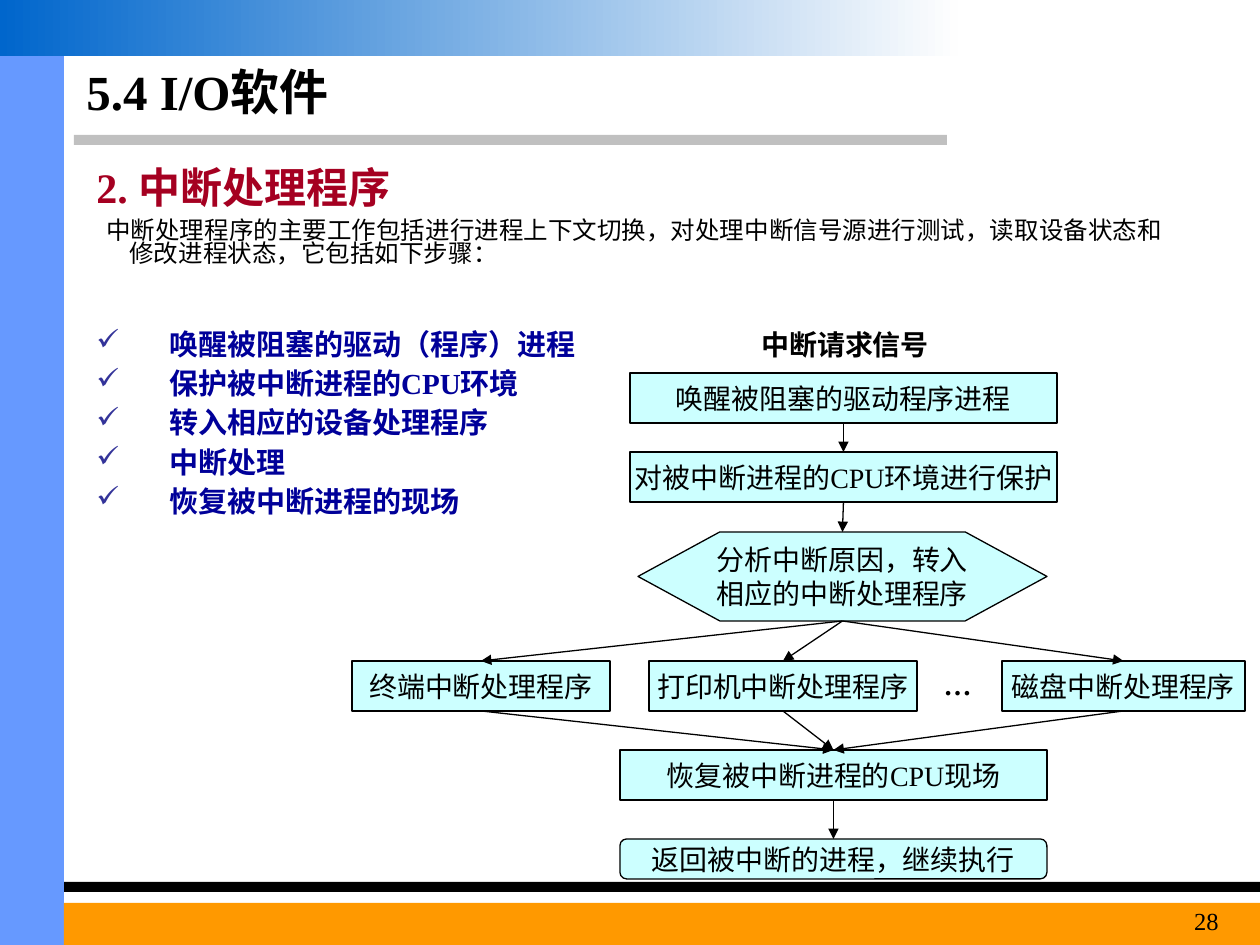
from lxml import etree
from pptx import Presentation
from pptx.dml.color import RGBColor
from pptx.enum.shapes import MSO_CONNECTOR, MSO_SHAPE as SHAPE
from pptx.enum.text import MSO_ANCHOR as ANCHOR, PP_ALIGN as ALIGN
from pptx.oxml.ns import qn
from pptx.util import Pt

PX = 914400 // 126
FONT = "Times New Roman"
BLACK = RGBColor(0, 0, 0)
GREY = RGBColor(0xC0, 0xC0, 0xC0)
BLUE = RGBColor(0x66, 0x99, 0xFF)
ORANGE = RGBColor(0xFF, 0x99, 0x00)
DEEP_BLUE = RGBColor(0x00, 0x66, 0xCC)
OFF_WHITE = RGBColor(0xFE, 0xFE, 0xFE)
RED = RGBColor(0xA5, 0x00, 0x21)
NAVY = RGBColor(0x00, 0x00, 0x99)
PALE_CYAN = RGBColor(0xCC, 0xFF, 0xFF)
CHECK_COLOR = "333399"

# Content: bands are (left, top, width, height, fill)
BANDS = [
    (74, 135, 873, 10, GREY),
    (0, 882, 1260, 10, BLACK),
    (0, 56, 64, 889, BLUE),
    (64, 903, 1196, 42, ORANGE),
]
TOP_BAND = (0, 0, 958, 56)
INTRO = ("中断处理程序的主要工作包括进行进程上下文切换，对处理中断信号源进行测试，"
         "读取设备状态和修改进程状态，它包括如下步骤：")
STEPS = [
    "唤醒被阻塞的驱动（程序）进程",
    "保护被中断进程的CPU环境",
    "转入相应的设备处理程序",
    "中断处理",
    "恢复被中断进程的现场",
]
# Flowchart nodes: name -> (preset, left, top, width, height, lines)
NODES = {
    "wake": (SHAPE.RECTANGLE, 630, 373, 427, 50, ["唤醒被阻塞的驱动程序进程"]),
    "protect": (SHAPE.RECTANGLE, 630, 452, 427, 50, ["对被中断进程的CPU环境进行保护"]),
    "analyse": (SHAPE.FLOWCHART_PREPARATION, 638, 532, 409, 89,
                ["分析中断原因，转入", "相应的中断处理程序"]),
    "terminal": (SHAPE.RECTANGLE, 352, 661, 258, 50, ["终端中断处理程序"]),
    "printer": (SHAPE.RECTANGLE, 649, 661, 268, 50, ["打印机中断处理程序"]),
    "disk": (SHAPE.RECTANGLE, 1002, 661, 243, 50, ["磁盘中断处理程序"]),
    "restore": (SHAPE.RECTANGLE, 620, 750, 427, 50, ["恢复被中断进程的CPU现场"]),
    "return": (SHAPE.FLOWCHART_ALTERNATE_PROCESS, 620, 839, 427, 40,
               ["返回被中断的进程，继续执行"]),
}
HANDLERS = ["terminal", "printer", "disk"]
ARROWS = ([("wake", "protect"), ("protect", "analyse")]
          + [("analyse", handler) for handler in HANDLERS]
          + [(handler, "restore") for handler in HANDLERS]
          + [("restore", "return")])
TOP_SITE, BOTTOM_SITE = 0, 2

deck = Presentation()
deck.slide_width, deck.slide_height = 1260 * PX, 945 * PX
page = deck.slides.add_slide(deck.slide_layouts[6])


def scaled(bounds):
    return [value * PX for value in bounds]


def write(box, lines, size, color=BLACK, bold=False, align=ALIGN.LEFT,
          before=0, spacing=None, margin=0, indent=0):
    frame = box.text_frame
    frame.text = "\n".join(lines)
    for para in frame.paragraphs:
        para.font.name, para.font.size, para.font.bold = FONT, Pt(size), bold
        para.font.color.rgb = color
        para.alignment = align
        para.space_before = Pt(before)
        if spacing:
            para.line_spacing = spacing
        properties = para._p.get_or_add_pPr()
        properties.set("marL", str(margin * PX))
        properties.set("indent", str(indent * PX))


def add_text(bounds, lines, size, anchor=ANCHOR.TOP, **style):
    box = page.shapes.add_textbox(*scaled(bounds))
    box.text_frame.word_wrap = True
    box.text_frame.vertical_anchor = anchor
    write(box, lines, size, **style)
    return box


def add_block(preset, bounds):
    block = page.shapes.add_shape(preset, *scaled(bounds))
    block.shadow.inherit = False
    block.line.fill.background()
    return block


def add_node(preset, left, top, width, height, lines):
    node = add_block(preset, (left, top, width, height))
    node.fill.solid()
    node.fill.fore_color.rgb = PALE_CYAN
    node.line.color.rgb = BLACK
    node.line.width = Pt(0.75)
    node.text_frame.word_wrap = False
    node.text_frame.vertical_anchor = ANCHOR.MIDDLE
    write(node, lines, 16, align=ALIGN.CENTER)
    return node


def add_arrow(start, end):
    arrow = page.shapes.add_connector(MSO_CONNECTOR.STRAIGHT, 0, 0, 0, 0)
    arrow.begin_connect(start, BOTTOM_SITE)
    arrow.end_connect(end, TOP_SITE)
    arrow.line.color.rgb = BLACK
    arrow.line.width = Pt(0.75)
    etree.SubElement(arrow.line._get_or_add_ln(), qn("a:tailEnd"), type="triangle")
    etree.SubElement(arrow._element.spPr, qn("a:effectLst"))


# Page bands
for *bounds, color in BANDS:
    band = add_block(SHAPE.RECTANGLE, bounds)
    band.fill.solid()
    band.fill.fore_color.rgb = color

top_band = add_block(SHAPE.RECTANGLE, TOP_BAND)
top_band.fill.gradient()
top_band.fill.gradient_angle = 0
for stop, color in zip(top_band.fill.gradient_stops, (DEEP_BLUE, OFF_WHITE)):
    stop.color.rgb = color

# Headings and introduction
add_text((74, 56, 863, 69), ["5.4 I/O软件"], 28, ANCHOR.MIDDLE, bold=True)
add_text((74, 155, 605, 63), ["2. 中断处理程序"], 24, color=RED, bold=True,
         before=15, margin=10)
add_text((44, 214, 1142, 79), [INTRO], 14, before=5, spacing=0.8,
         margin=73, indent=-23)

# Checked steps
steps = add_text((84, 324, 546, 228), STEPS, 16.6, color=NAVY, bold=True,
                 before=4.5, spacing=0.9, margin=73, indent=-73)
for para in steps.text_frame.paragraphs:
    properties = para._p.get_or_add_pPr()
    bullet_color = etree.SubElement(properties, qn("a:buClr"))
    etree.SubElement(bullet_color, qn("a:srgbClr"), val=CHECK_COLOR)
    etree.SubElement(properties, qn("a:buChar"), char="✓")
    # Bullet elements come before the run defaults
    defaults = properties.find(qn("a:defRPr"))
    if defaults is not None:
        properties.append(defaults)

# Flowchart
add_text((749, 321, 228, 47), ["中断请求信号"], 16, bold=True, before=10)
nodes = {name: add_node(*node) for name, node in NODES.items()}
add_text((928, 661, 59, 47), ["…"], 16, bold=True, align=ALIGN.CENTER, before=10)
for start, end in ARROWS:
    add_arrow(nodes[start], nodes[end])

# Page number
add_text((1117, 900, 114, 45), ["28"], 14, align=ALIGN.RIGHT)

deck.save("out.pptx")
